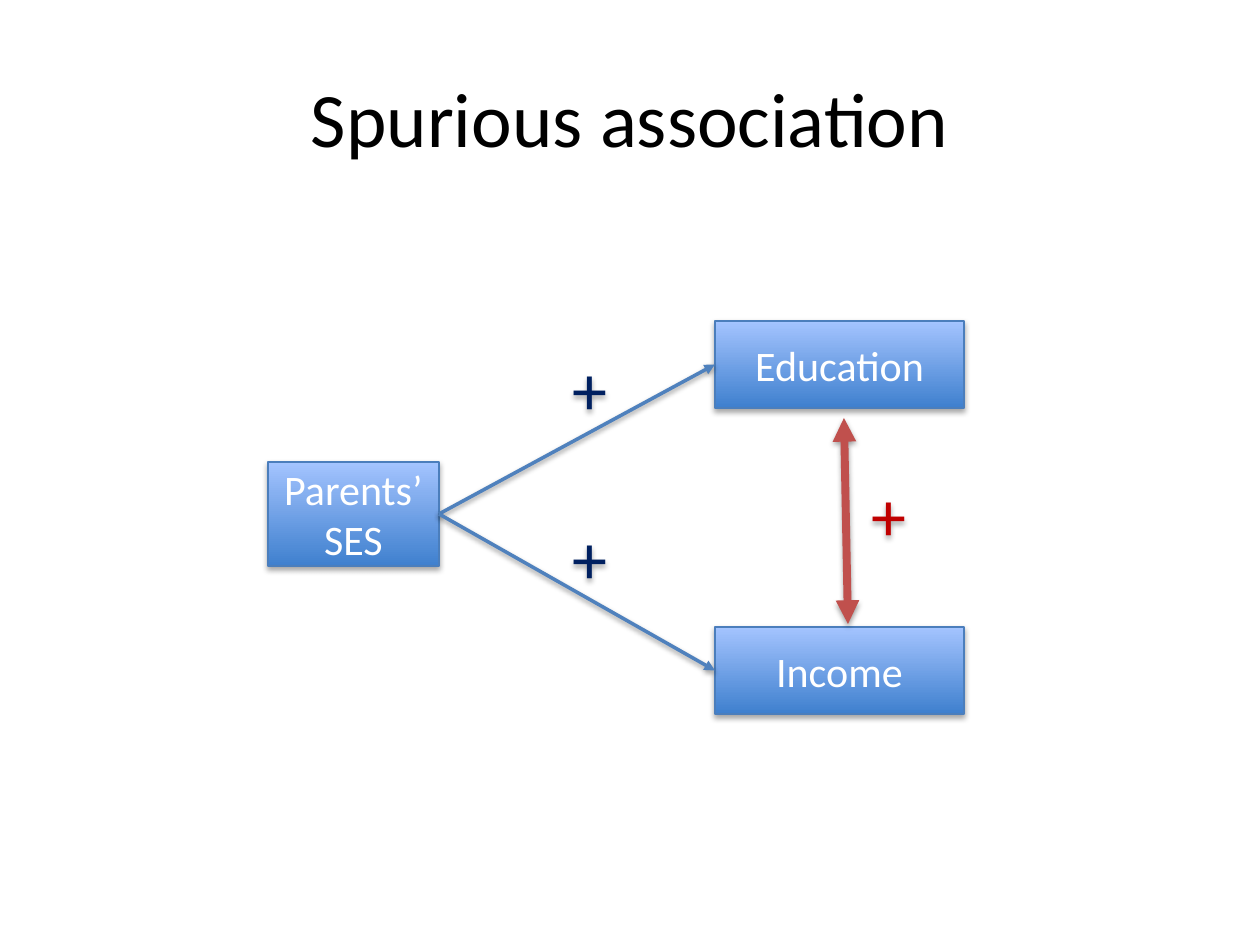
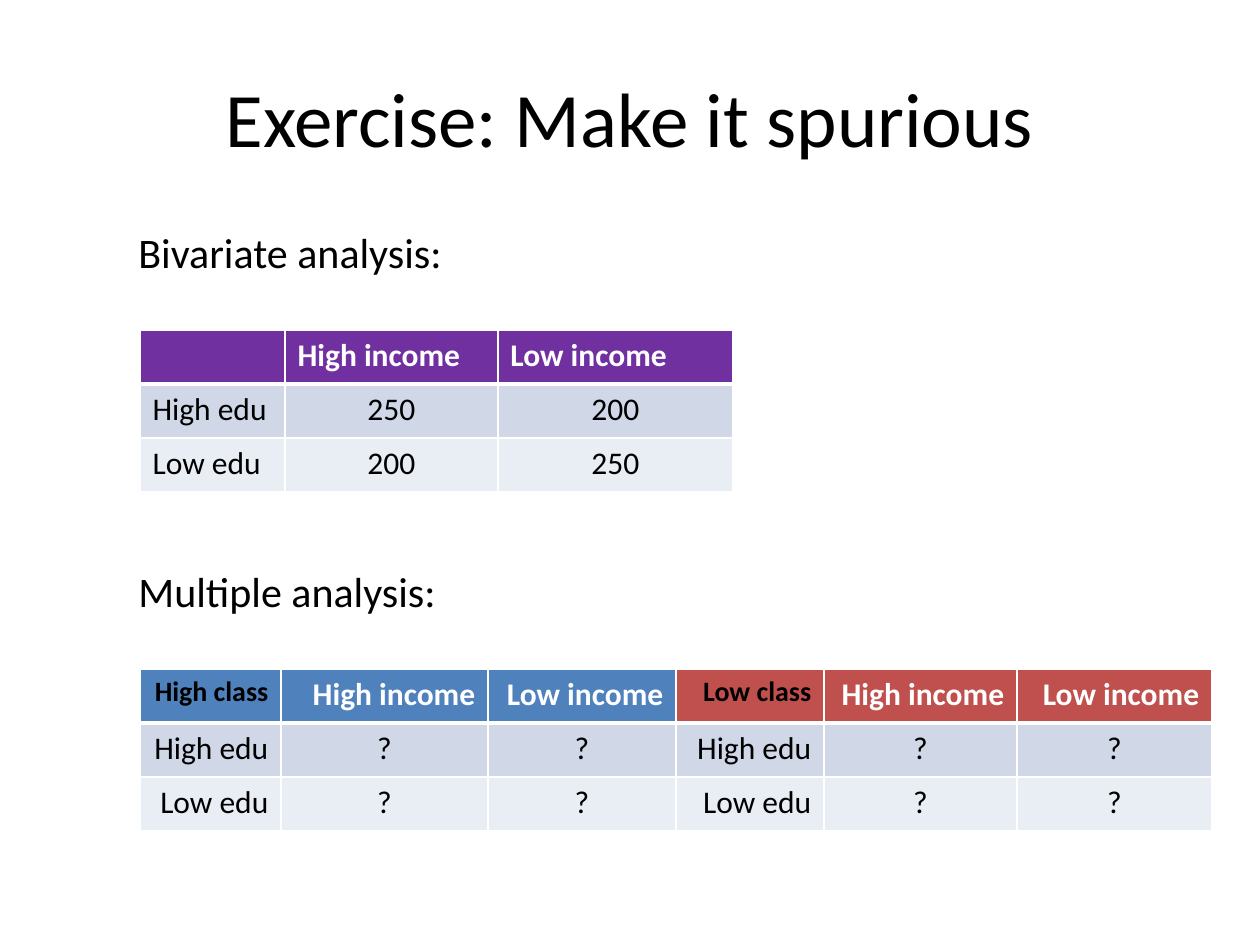
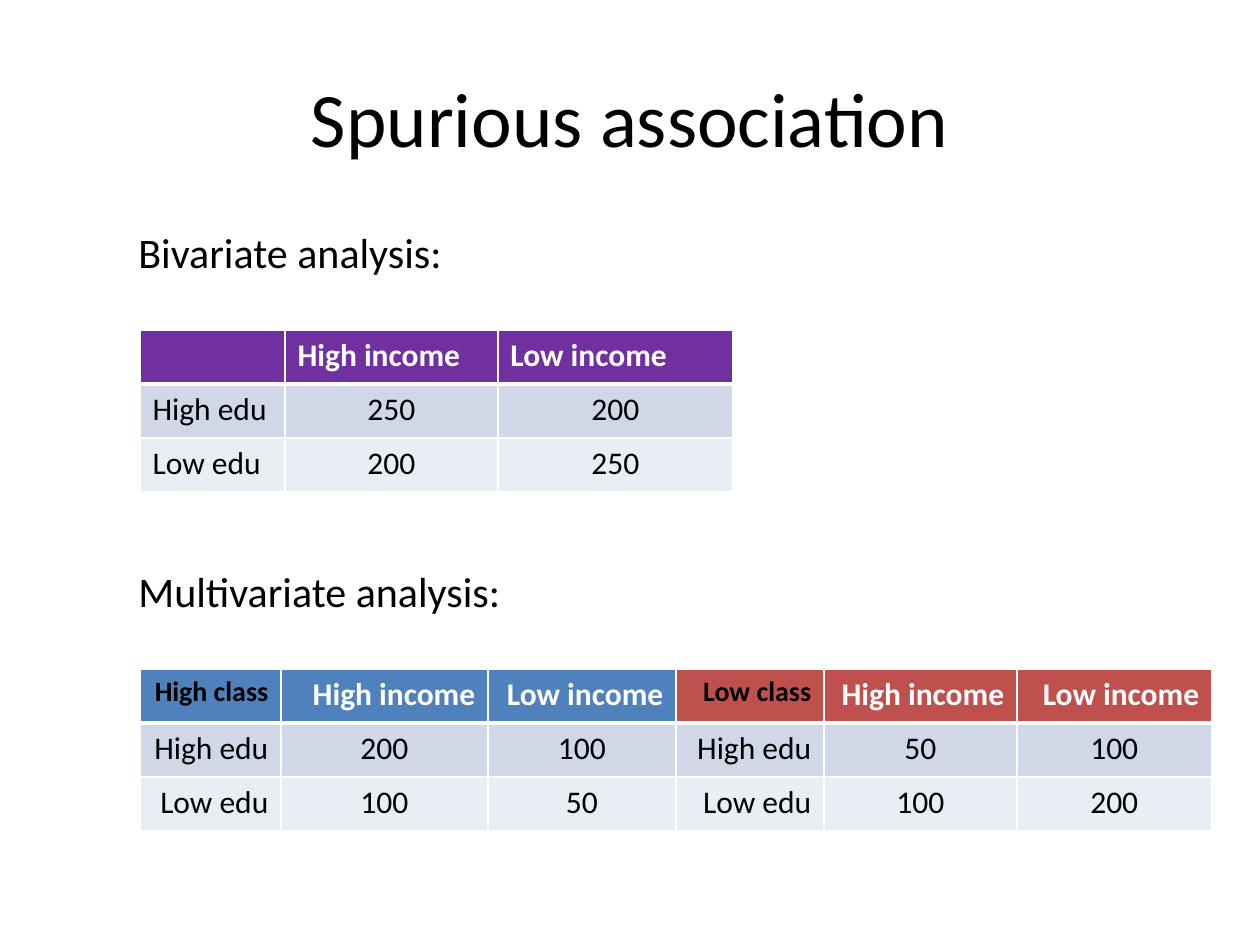
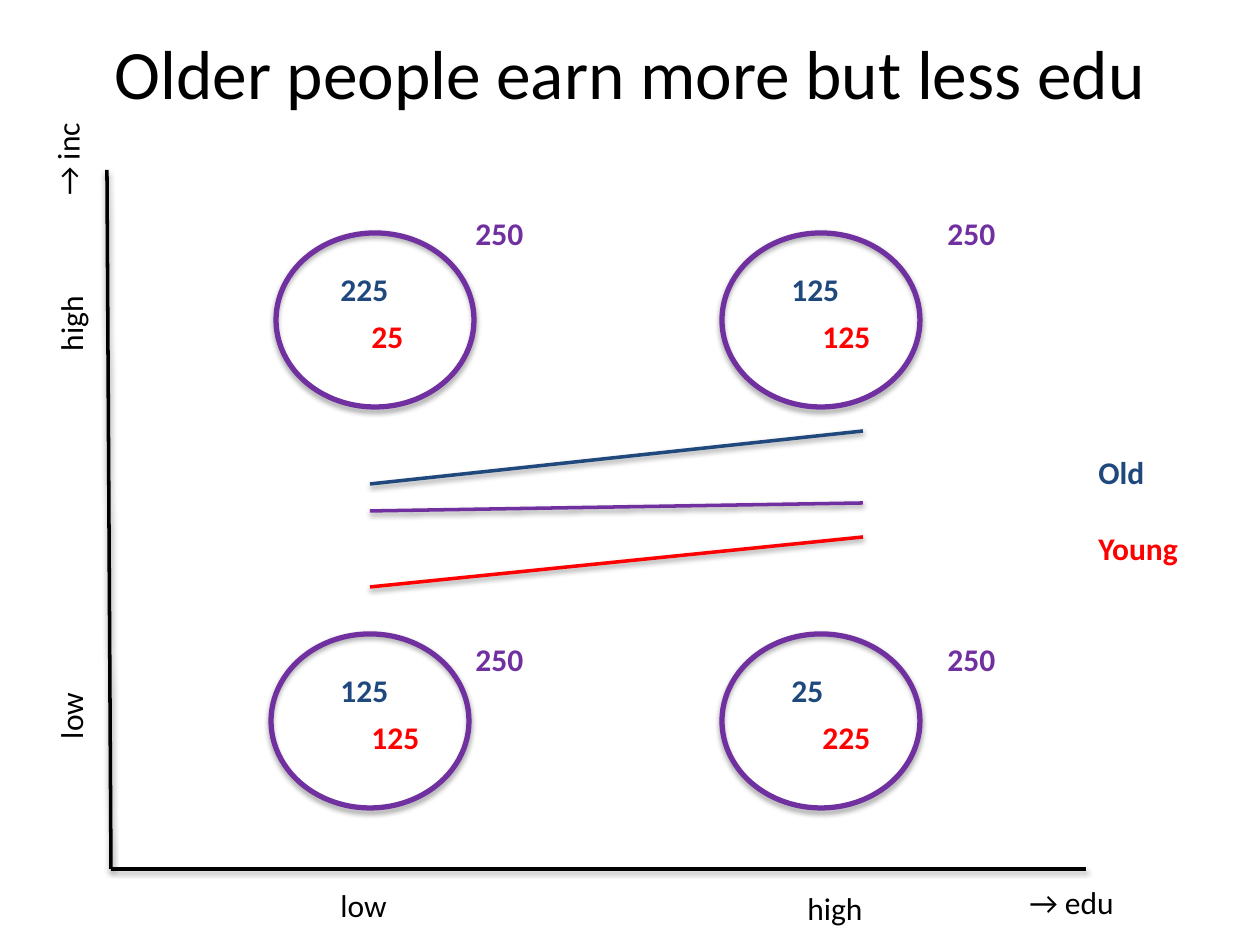
from lxml import etree
from pptx import Presentation
from pptx import util as u
from pptx.dml.color import RGBColor
from pptx.enum import shapes, text
from pptx.oxml import ns, parse_xml

PX = 914400 // 126
FONT = "Calibri"
C = {
    "black": "000000", "white": "FFFFFF", "navy": "002060", "dark_red": "C00000",
    "box_dark": "3F80CE", "box_light": "A4C4FF", "box_line": "4B7EBC",
    "blue": "4F81BD", "brick": "C0504D", "purple": "7030A0",
    "band": "D0D8E8", "band_light": "E9EDF4", "old": "1F497D", "young": "FF0000",
}
RGB = {name: RGBColor.from_string(value) for name, value in C.items()}
ALIGN = {"l": text.PP_ALIGN.LEFT, "c": text.PP_ALIGN.CENTER, "r": text.PP_ALIGN.RIGHT}
shadowed = []


def write(tf, content, size, color, bold=False, align="l"):
    tf.text = content
    for p in tf.paragraphs:
        p.alignment = ALIGN[align]
        for r in p.runs:
            r.font.name = FONT
            r.font.size = u.Pt(size)
            r.font.bold = bold
            r.font.color.rgb = RGB[color]


def add_line(s, points, color, width=2, **ends):
    cx = s.shapes.add_connector(shapes.MSO_CONNECTOR.STRAIGHT, *[v * PX for v in points])
    cx.line.color.rgb = RGB[color]
    cx.line.width = u.Pt(width)
    ln = cx.line._get_or_add_ln()
    for end in ends:
        etree.SubElement(ln, ns.qn(f"a:{end}"), type=ends[end])
    shadowed.append((cx, 20000, 38000))
    return cx


prs = Presentation()
prs.slide_width, prs.slide_height = u.Inches(10), u.Inches(7.5)

slides = []
for title, top, height, size in [
    ("Spurious association", 38, 158, 44),
    ("Exercise: Make it spurious", 38, 158, 44),
    ("Spurious association", 38, 158, 44),
    ("Older people earn more but less edu", 38, 68, 39.6),
]:
    s = prs.slides.add_slide(prs.slide_layouts[5])
    sp = s.shapes.title
    sp.left, sp.top, sp.width, sp.height = [v * PX for v in (63, top, 1134, height)]
    tf = sp.text_frame
    tf.auto_size = text.MSO_AUTO_SIZE.NONE
    tf.vertical_anchor = text.MSO_ANCHOR.MIDDLE
    write(tf, title, size, "black", align="c")
    slides.append(s)

s = slides[0]
boxes = {}
for label, box in [
    ("Parents’ SES", (268, 462, 171, 104)),
    ("Education", (715, 321, 249, 87)),
    ("Income", (715, 627, 249, 87)),
]:
    sp = s.shapes.add_shape(shapes.MSO_SHAPE.RECTANGLE, *[v * PX for v in box])
    sp.fill.gradient()
    sp.fill.gradient_angle = 90
    for stop, color in zip(sp.fill.gradient_stops, ("box_dark", "box_light")):
        stop.color.rgb = RGB[color]
    sp.line.color.rgb = RGB["box_line"]
    sp.line.width = u.Pt(0.75)
    tf = sp.text_frame
    tf.word_wrap = True
    tf.vertical_anchor = text.MSO_ANCHOR.MIDDLE
    write(tf, label, 24, "white", align="c")
    shadowed.append((sp, 23000, 35000))
    boxes[label] = sp

for target, y in [("Education", 365), ("Income", 670)]:
    cx = add_line(s, (439, 514, 715, y), "blue", tailEnd="triangle")
    cx.begin_connect(boxes["Parents’ SES"], 3)
    cx.end_connect(boxes[target], 1)
add_line(s, (844, 418, 848, 624), "brick", 4.5, headEnd="triangle", tailEnd="triangle")

for x, y, color in [(549, 529, "navy"), (549, 360, "navy"), (848, 486, "dark_red")]:
    sp = s.shapes.add_textbox(x * PX, y * PX, 81 * PX, 55 * PX)
    sp.fill.background()
    sp.line.fill.background()
    tf = sp.text_frame
    tf.word_wrap = True
    tf.vertical_anchor = text.MSO_ANCHOR.MIDDLE
    write(tf, "+", 40, color, align="c")
    shadowed.append((sp, 23000, 35000))

bivariate = [
    ["", "High income", "Low income"],
    ["High edu", "250", "200"],
    ["Low edu", "200", "250"],
]
by_class = ["High class", "High income", "Low income", "Low class", "High income", "Low income"]
exercise = [
    by_class,
    ["High edu", "?", "?", "High edu", "?", "?"],
    ["Low edu", "?", "?", "Low edu", "?", "?"],
]
solution = [
    by_class,
    ["High edu", "200", "100", "High edu", "50", "100"],
    ["Low edu", "100", "50", "Low edu", "100", "200"],
]
narrow, wide = [145, 213, 235], [141, 207, 188, 148, 193, 195]
for s, heading, rows, widths, top, heads, align in [
    (slides[1], "Bivariate analysis:", bivariate, narrow, 330, ["purple"], "l"),
    (slides[1], "Multiple analysis:", exercise, wide, 669, ["blue", "brick"], "r"),
    (slides[2], "Bivariate analysis:", bivariate, narrow, 330, ["purple"], "l"),
    (slides[2], "Multivariate analysis:", solution, wide, 669, ["blue", "brick"], "r"),
]:
    sp = s.shapes.add_textbox(126 * PX, (top - 110) * PX, 421 * PX, 64 * PX)
    sp.text_frame.word_wrap = True
    sp.text_frame.auto_size = text.MSO_AUTO_SIZE.SHAPE_TO_FIT_TEXT
    write(sp.text_frame, heading, 24, "black")

    tbl = s.shapes.add_table(3, len(widths), 140 * PX, top * PX, sum(widths) * PX, 162 * PX).table
    for col, width in zip(tbl.columns, widths):
        col.width = width * PX
    for i, row in enumerate(rows):
        tbl.rows[i].height = 54 * PX
        for j, value in enumerate(row):
            cell = tbl.cell(i, j)
            label = i == 0 or j % 3 == 0
            is_class = value.endswith("class")
            write(cell.text_frame, value, 16 if is_class else 18,
                  "white" if i == 0 and not is_class else "black",
                  i == 0, align if label else "c")
            tcPr = cell._tc.get_or_add_tcPr()
            for side in "LRTB":
                thick = (i, side) in [(0, "B"), (1, "T")]
                ln = etree.SubElement(tcPr, ns.qn(f"a:ln{side}"), w=str(u.Pt(3 if thick else 1)))
                fill = etree.SubElement(ln, ns.qn("a:solidFill"))
                etree.SubElement(fill, ns.qn("a:srgbClr"), val=C["white"])
            cell.fill.solid()
            cell.fill.fore_color.rgb = RGB[(heads[j // 3], "band", "band_light")[i]]

s = slides[3]
for points, color in [
    ((107, 170, 111, 869), "black"),
    ((111, 869, 1086, 869), "black"),
    ((370, 587, 863, 537), "young"),
    ((370, 484, 863, 431), "old"),
    ((370, 511, 863, 503), "purple"),
]:
    add_line(s, points, color)

labels = [
    ("→ edu", 1017, 877, 122, "black", 0),
    ("→ inc", -1, 115, 136, "black", 270),
    ("low", 328, 880, 93, "black", 0),
    ("high", 795, 883, 93, "black", 0),
    ("low", 24, 680, 93, "black", 270),
    ("high", 24, 292, 93, "black", 270),
    ("Old\nYoung", 1086, 447, 154, "old", 0),
]
for x, y, old, young, number_x, total_x in [
    (276, 233, "225", "25", 328, 463),
    (271, 634, "125", "125", 328, 463),
    (722, 233, "125", "125", 779, 935),
    (722, 634, "25", "225", 779, 935),
]:
    sp = s.shapes.add_shape(shapes.MSO_SHAPE.OVAL, x * PX, y * PX, 198 * PX, 174 * PX)
    sp.fill.background()
    sp.line.color.rgb = RGB["purple"]
    sp.line.width = u.Pt(3)
    shadowed.append((sp, 23000, 35000))
    total_y = 208 if y == 233 else 634
    labels += [
        (old, number_x, y + 31, 83, "old", 0),
        (young, number_x + 31, y + 78, 83, "young", 0),
        ("250", total_x, total_y, 83, "purple", 0),
    ]

for content, x, y, width, color, rotation in labels:
    height = 127 if "\n" in content else 50
    sp = s.shapes.add_textbox(x * PX, y * PX, width * PX, height * PX)
    sp.rotation = rotation
    tf = sp.text_frame
    tf.word_wrap = True
    tf.auto_size = text.MSO_AUTO_SIZE.SHAPE_TO_FIT_TEXT
    write(tf, content, 18, color, color != "black")
    for p in tf.paragraphs[1:]:
        p.space_before = u.Pt(22)
        p.runs[0].font.color.rgb = RGB["young"]

for sp, distance, alpha in shadowed:
    sp._element.spPr.append(parse_xml(
        f'<a:effectLst {ns.nsdecls("a")}>'
        f'<a:outerShdw blurRad="40000" dist="{distance}" dir="5400000" rotWithShape="0">'
        f'<a:srgbClr val="{C["black"]}"><a:alpha val="{alpha}"/></a:srgbClr>'
        '</a:outerShdw></a:effectLst>'))

prs.save("out.pptx")
